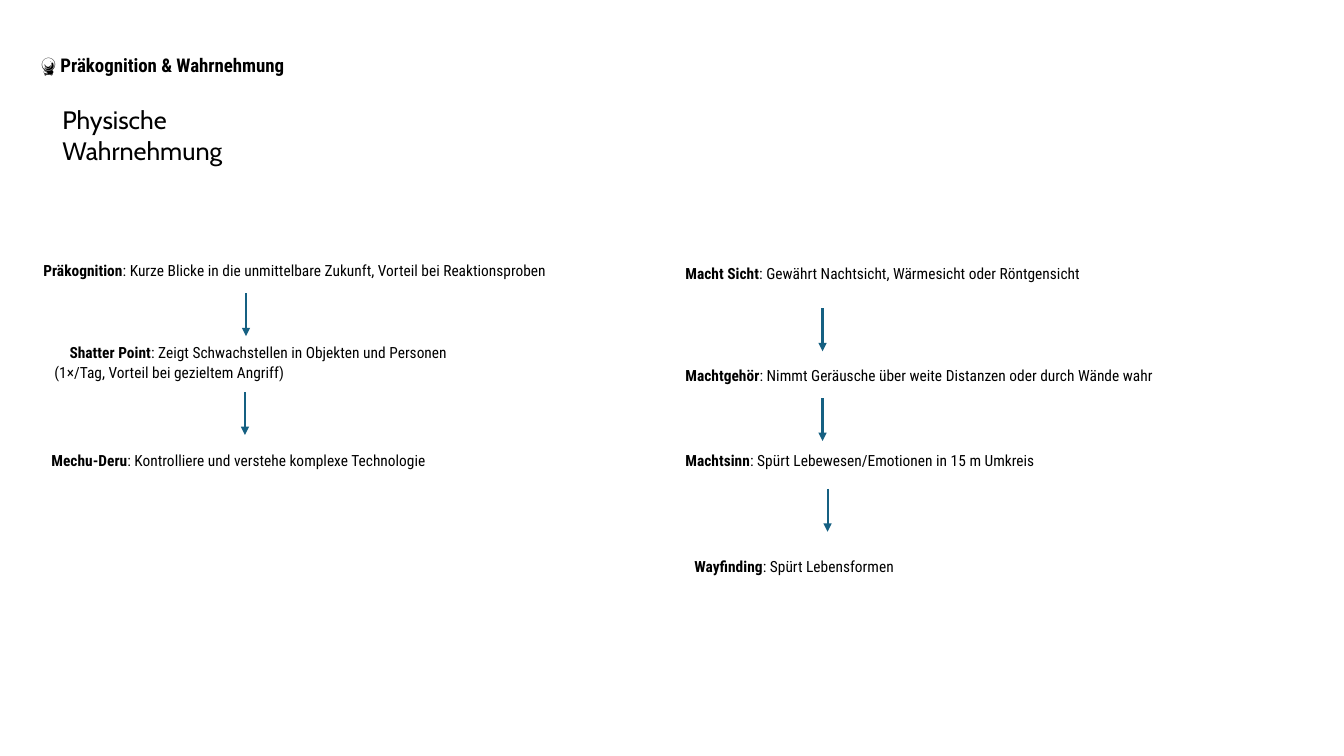
import pptx
import pptx.util
import pptx.dml.color
import pptx.enum.shapes
import pptx.enum.text
import pptx.oxml
import pptx.oxml.ns

HUES = {"ink": "000000", "line": "156082"}
BODY = "Roboto Condensed"

deck = pptx.Presentation()
deck.slide_width = pptx.util.Inches(13.33)
deck.slide_height = pptx.util.Inches(7.5)
slide = deck.slides.add_slide(deck.slide_layouts[6])

# Grid of 160 columns and 90 rows
col = deck.slide_width / 160
row = deck.slide_height / 90


def place(*spans):
    """Turn alternating column and row counts into lengths."""
    return [int(n * (row if i % 2 else col)) for i, n in enumerate(spans)]


def write(para, runs):
    """Add runs given as text, size, font and bold."""
    for text, size, face, bold in runs:
        run = para.add_run()
        run.text = text
        form = {"size": pptx.util.Pt(size), "name": face, "bold": bold}
        for key, val in form.items():
            setattr(run.font, key, val)
        run.font.color.rgb = pptx.dml.color.RGBColor.from_string(HUES["ink"])


# Headings and the loose skill
texts = [
    (6.24, 11.88, 23.64, 8.52, [("Physische Wahrnehmung", 18, "Cabin", False)]),
    (3.72, 5.76, 83.64, 3.96, [("🔮", 13.5, "Roboto", True),
                               (" Präkognition & Wahrnehmung", 13.5, BODY, True)]),
    (81.48, 65.76, 27.6, 3.48, [("Wayfinding", 11, BODY, True),
                                (": Spürt Lebensformen", 11, BODY, False)]),
]
for *area, runs in texts:
    frame = slide.shapes.add_textbox(*place(*area)).text_frame
    frame.word_wrap = True
    frame.auto_size = pptx.enum.text.MSO_AUTO_SIZE.SHAPE_TO_FIT_TEXT
    write(frame.paragraphs[0], runs)

# Skill tables: left, top, width, row heights, column shares, name, effect
two, three = (0.1, 0.9), (0.08, 0.17, 0.75)
skills = [
    (2.76, 27.72, 66.48, (3.12, 2.5), (0.08, 0.12, 0.8), "Präkognition",
     "Kurze Blicke in die unmittelbare Zukunft, Vorteil bei Reaktionsproben"),
    (5.88, 38.04, 48, (2.5, 5.04), three, "Shatter Point",
     "Zeigt Schwachstellen in Objekten und Personen "
     "(1×/Tag, Vorteil bei gezieltem Angriff)"),
    (3.72, 51, 50.16, (2.5, 2.5), three, "Mechu-Deru",
     "Kontrolliere und verstehe komplexe Technologie"),
    (79.2, 28.68, 55.8, (2.5, 2.5), two, "Macht Sicht",
     "Gewährt Nachtsicht, Wärmesicht oder Röntgensicht"),
    (79.2, 40.92, 72, (2.5, 2.5), two, "Machtgehör",
     "Nimmt Geräusche über weite Distanzen oder durch Wände wahr"),
    (79.2, 51, 48, (2.5, 2.5), three, "Machtsinn",
     "Spürt Lebewesen/Emotionen in 15 m Umkreis"),
]
cell_form = {
    "margin_left": pptx.util.Inches(0.05), "margin_right": pptx.util.Inches(0.05),
    "margin_top": 0, "margin_bottom": 0,
    "vertical_anchor": pptx.enum.text.MSO_ANCHOR.MIDDLE,
}
for left, top, width, highs, parts, name, effect in skills:
    area = place(left, top, width, sum(highs))
    table = slide.shapes.add_table(2, len(parts), *area).table
    table.first_row = table.horz_banding = False
    for i, high in enumerate(highs):
        table.rows[i].height = int(high * row)
    for i, part in enumerate(parts):
        table.columns[i].width = int(part * width * col)
    for cell in table.iter_cells():
        cell.fill.background()
        for key, val in cell_form.items():
            setattr(cell, key, val)
        # Small type keeps empty cells low
        cell.text_frame.paragraphs[0]._p.get_or_add_endParaRPr().set("sz", "800")
    lead = table.cell(1, 0)
    lead.merge(table.cell(1, len(parts) - 1))
    para = lead.text_frame.paragraphs[0]
    para.line_spacing = 1.15
    para.space_after = pptx.util.Pt(8)
    props = para._p.get_or_add_pPr()
    props.set("marL", "0")
    props.set("indent", str(pptx.util.Inches(0.15)))
    write(para, [(name, 11, BODY, True), (": " + effect, 11, BODY, False)])

# Arrows of equal length between the skills
drop = 5.1
for x, y in [(29.28, 34.92), (29.16, 46.68),
             (97.92, 36.72), (97.92, 47.4), (98.52, 58.2)]:
    arrow = slide.shapes.add_connector(
        pptx.enum.shapes.MSO_CONNECTOR.STRAIGHT, *place(x, y, x, y + drop))
    arrow.line.color.rgb = pptx.dml.color.RGBColor.from_string(HUES["line"])
    arrow.line.width = pptx.util.Pt(1.5)
    space = pptx.oxml.ns.nsdecls("a")
    arrow.line._get_or_add_ln().append(
        pptx.oxml.parse_xml(f'<a:tailEnd {space} type="triangle"/>'))
    arrow._element.spPr.append(pptx.oxml.parse_xml(f"<a:effectLst {space}/>"))

deck.save("out.pptx")
